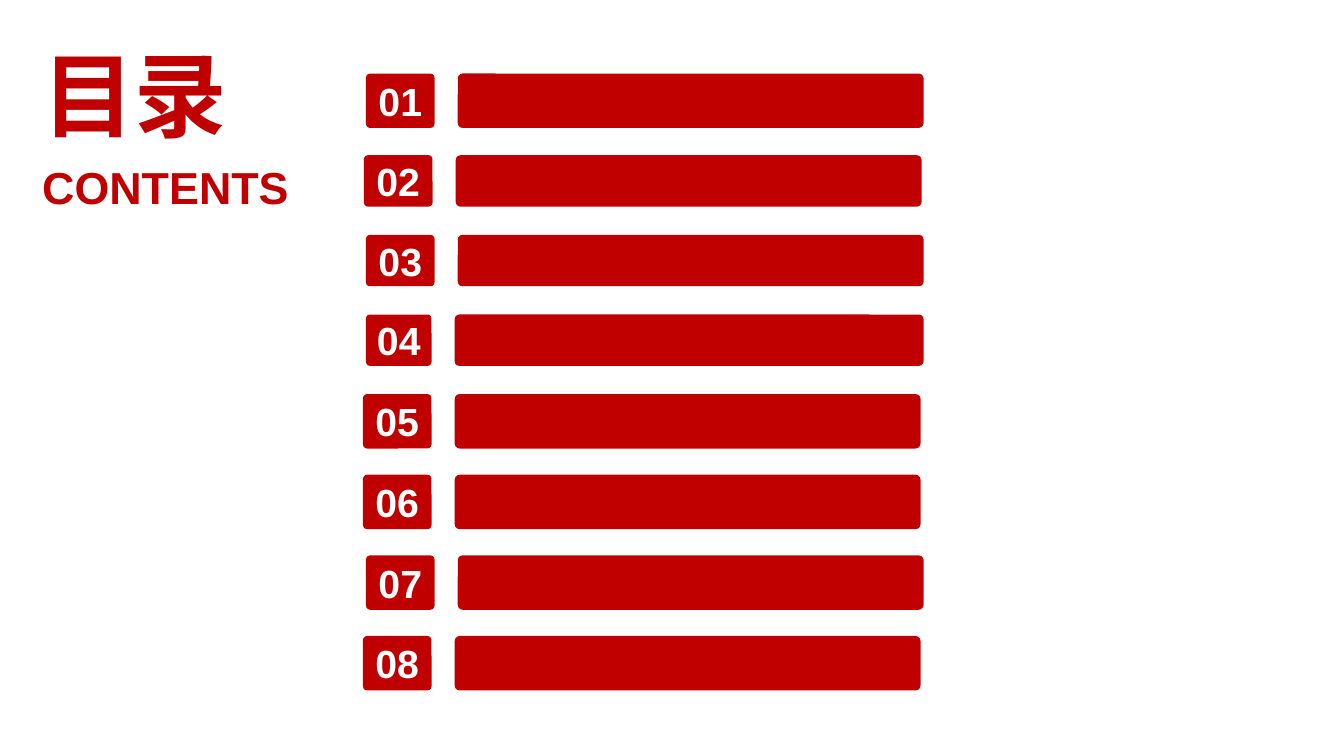
from dataclasses import dataclass

from pptx import Presentation
from pptx.dml.color import RGBColor
from pptx.enum.shapes import MSO_SHAPE
from pptx.enum.text import MSO_ANCHOR, MSO_AUTO_SIZE, PP_ALIGN
from pptx.shapes.autoshape import Shape
from pptx.shapes.group import GroupShape
from pptx.slide import Slide
from pptx.text.text import TextFrame
from pptx.util import Inches, Pt


@dataclass(frozen=True)
class Theme:
    red: RGBColor = RGBColor(0xC0, 0x00, 0x00)
    white: RGBColor = RGBColor(0xFF, 0xFF, 0xFF)
    font: str = "Arial"
    title_size: int = 66
    subtitle_size: int = 32
    number_size: int = 28


@dataclass(frozen=True)
class Box:
    left: float
    top: float
    width: float
    height: float


@dataclass(frozen=True)
class Entry:
    """One contents row: a number tile and the bar to its right."""
    left: float
    top: float
    height: float = 0.54
    tile_width: float = 0.68
    bar_width: float = 4.62


@dataclass(frozen=True)
class Heading:
    text: str
    box: Box
    size: int
    alignment: PP_ALIGN
    wrap: bool


THEME = Theme()
GAP = 0.23  # between a tile and its bar
TILE_CORNER = 0.076
BAR_CORNER = 0.091

ENTRIES = [
    Entry(3.63, 0.73),
    Entry(3.61, 1.54, height=0.51),
    Entry(3.63, 2.33, height=0.51),
    Entry(3.63, 3.12, height=0.51, tile_width=0.65, bar_width=4.65),
    Entry(3.60, 3.91),
    Entry(3.60, 4.71),
    Entry(3.63, 5.51),
    Entry(3.60, 6.31),
]

HEADINGS = [
    Heading("目录", Box(0.32, 0.33, 2.31, 1.21), THEME.title_size, PP_ALIGN.JUSTIFY, True),
    Heading("CONTENTS", Box(0.32, 1.54, 2.67, 0.64), THEME.subtitle_size, PP_ALIGN.LEFT, False),
]


def write_text(text_frame: TextFrame, text: str, size: int, color: RGBColor,
               alignment: PP_ALIGN) -> None:
    text_frame.text = text
    paragraph = text_frame.paragraphs[0]
    paragraph.alignment = alignment
    font = paragraph.runs[0].font
    font.name = THEME.font
    font.size = Pt(size)
    font.bold = True
    font.color.rgb = color


def add_rounded_box(group: GroupShape, box: Box, corner: float) -> Shape:
    shape = group.shapes.add_shape(
        MSO_SHAPE.ROUNDED_RECTANGLE,
        Inches(box.left), Inches(box.top), Inches(box.width), Inches(box.height))
    shape.adjustments[0] = corner
    shape.shadow.inherit = False
    shape.fill.solid()
    shape.fill.fore_color.rgb = THEME.red
    shape.line.fill.background()
    return shape


def add_entry(slide: Slide, number: int, entry: Entry) -> None:
    group = slide.shapes.add_group_shape()

    # Number tile
    tile_box = Box(entry.left, entry.top, entry.tile_width, entry.height)
    text_frame = add_rounded_box(group, tile_box, TILE_CORNER).text_frame
    text_frame.margin_left = text_frame.margin_right = 0
    text_frame.margin_top = text_frame.margin_bottom = 0
    text_frame.vertical_anchor = MSO_ANCHOR.MIDDLE
    write_text(text_frame, f"{number:02d}", THEME.number_size, THEME.white, PP_ALIGN.CENTER)

    # Empty topic bar
    bar_left = entry.left + entry.tile_width + GAP
    add_rounded_box(group, Box(bar_left, entry.top, entry.bar_width, entry.height), BAR_CORNER)


def add_heading(slide: Slide, heading: Heading) -> None:
    box = heading.box
    text_box = slide.shapes.add_textbox(
        Inches(box.left), Inches(box.top), Inches(box.width), Inches(box.height))
    text_frame = text_box.text_frame
    text_frame.word_wrap = heading.wrap
    text_frame.auto_size = MSO_AUTO_SIZE.SHAPE_TO_FIT_TEXT
    write_text(text_frame, heading.text, heading.size, THEME.red, heading.alignment)


def main() -> None:
    presentation = Presentation()
    presentation.slide_width = Inches(13.33)
    presentation.slide_height = Inches(7.5)
    slide = presentation.slides.add_slide(presentation.slide_layouts[6])

    # Title on the left
    for heading in HEADINGS:
        add_heading(slide, heading)

    # Numbered contents rows
    for number, entry in enumerate(ENTRIES, start=1):
        add_entry(slide, number, entry)

    presentation.save("out.pptx")


if __name__ == "__main__":
    main()
